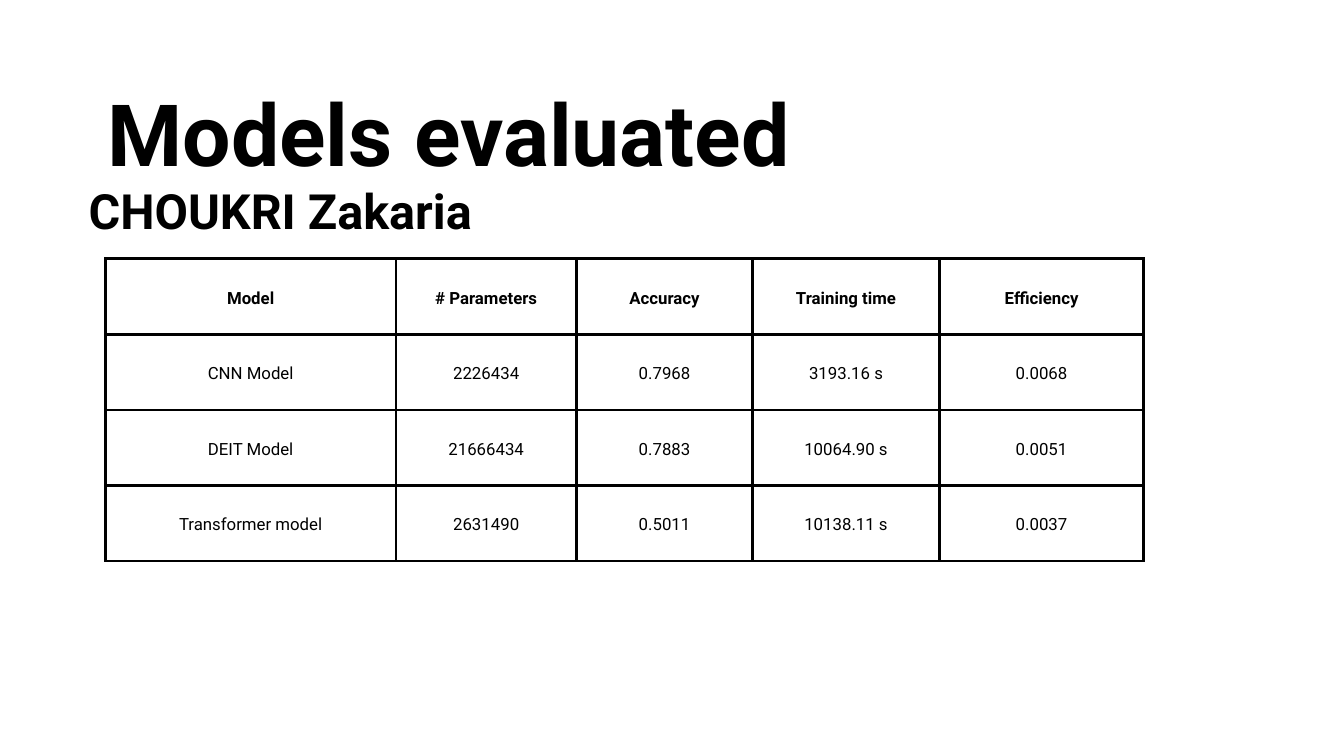
import pptx
import pptx.dml.color
import pptx.enum.text
import pptx.oxml
import pptx.oxml.ns
import pptx.util
from pptx.util import Inches, Pt

FONT = "Roboto"
BLACK = "000000"
COLUMN_WIDTHS = [4.32, 2.69, 2.62, 2.78, 3.04]
TABLE_HEIGHT = 4.5
ROWS = [
    ["Model", "# Parameters", "Accuracy", "Training time", "Efficiency"],
    ["CNN Model", "2226434", "0.7968", "3193.16 s", "0.0068"],
    ["DEIT Model", "21666434", "0.7883", "10064.90 s", "0.0051"],
    ["Transformer model", "2631490", "0.5011", "10138.11 s", "0.0037"],
]


def color(hex_string):
    return pptx.dml.color.RGBColor.from_string(hex_string)


def write_text(frame, text, size, bold, margin=0):
    """Write one centred line with a line spacing of 1.4 times its size."""
    frame.word_wrap = True
    frame.margin_left = frame.margin_right = Inches(margin)
    frame.margin_top = frame.margin_bottom = Inches(margin)
    paragraph = frame.paragraphs[0]
    paragraph.text = text
    paragraph.alignment = pptx.enum.text.PP_ALIGN.CENTER
    paragraph.line_spacing = Pt(size * 1.4)
    paragraph.space_before = Pt(0)
    paragraph.font.name = FONT
    paragraph.font.size = Pt(size)
    paragraph.font.bold = bold
    paragraph.font.color.rgb = color(BLACK)


def add_title(slide, text):
    title = slide.shapes.title
    title.left, title.top = Inches(1.12), Inches(0.94)
    title.width, title.height = Inches(11.12), Inches(1.71)
    frame = title.text_frame
    frame.auto_size = pptx.enum.text.MSO_AUTO_SIZE.NONE
    frame.vertical_anchor = pptx.enum.text.MSO_ANCHOR.TOP
    write_text(frame, text, 92, True)


def add_author(slide, text):
    box = slide.shapes.add_textbox(Inches(1.12), Inches(2.55), Inches(6.1), Inches(0.97))
    write_text(box.text_frame, text, 52, True)


def set_borders(cell, hex_string, width):
    properties = cell._tc.get_or_add_tcPr()
    for position, side in enumerate("LRTB"):
        border = pptx.oxml.parse_xml(
            f'<a:ln{side} {pptx.oxml.ns.nsdecls("a")} w="{Pt(width)}">'
            f'<a:solidFill><a:srgbClr val="{hex_string}"/></a:solidFill></a:ln{side}>'
        )
        properties.insert(position, border)


def add_results_table(slide):
    table = slide.shapes.add_table(
        len(ROWS), len(COLUMN_WIDTHS), Inches(1.57), Inches(3.85),
        Inches(sum(COLUMN_WIDTHS)), Inches(TABLE_HEIGHT),
    ).table
    table.horz_banding = False
    for column, width in zip(table.columns, COLUMN_WIDTHS):
        column.width = Inches(width)
    for row_index, values in enumerate(ROWS):
        for column_index, value in enumerate(values):
            cell = table.cell(row_index, column_index)
            write_text(cell.text_frame, value, 18, row_index == 0)
            cell.margin_left = cell.margin_right = Inches(0.21)
            cell.margin_top = cell.margin_bottom = Inches(0.21)
            cell.vertical_anchor = pptx.enum.text.MSO_ANCHOR.MIDDLE
            cell.fill.background()
            set_borders(cell, BLACK, 3)


def main():
    presentation = pptx.Presentation()
    presentation.slide_width = Inches(20)
    presentation.slide_height = Inches(11.25)
    slide = presentation.slides.add_slide(presentation.slide_layouts[5])
    add_results_table(slide)
    add_title(slide, "Models evaluated")
    add_author(slide, "CHOUKRI Zakaria")
    presentation.save("out.pptx")


if __name__ == "__main__":
    main()
